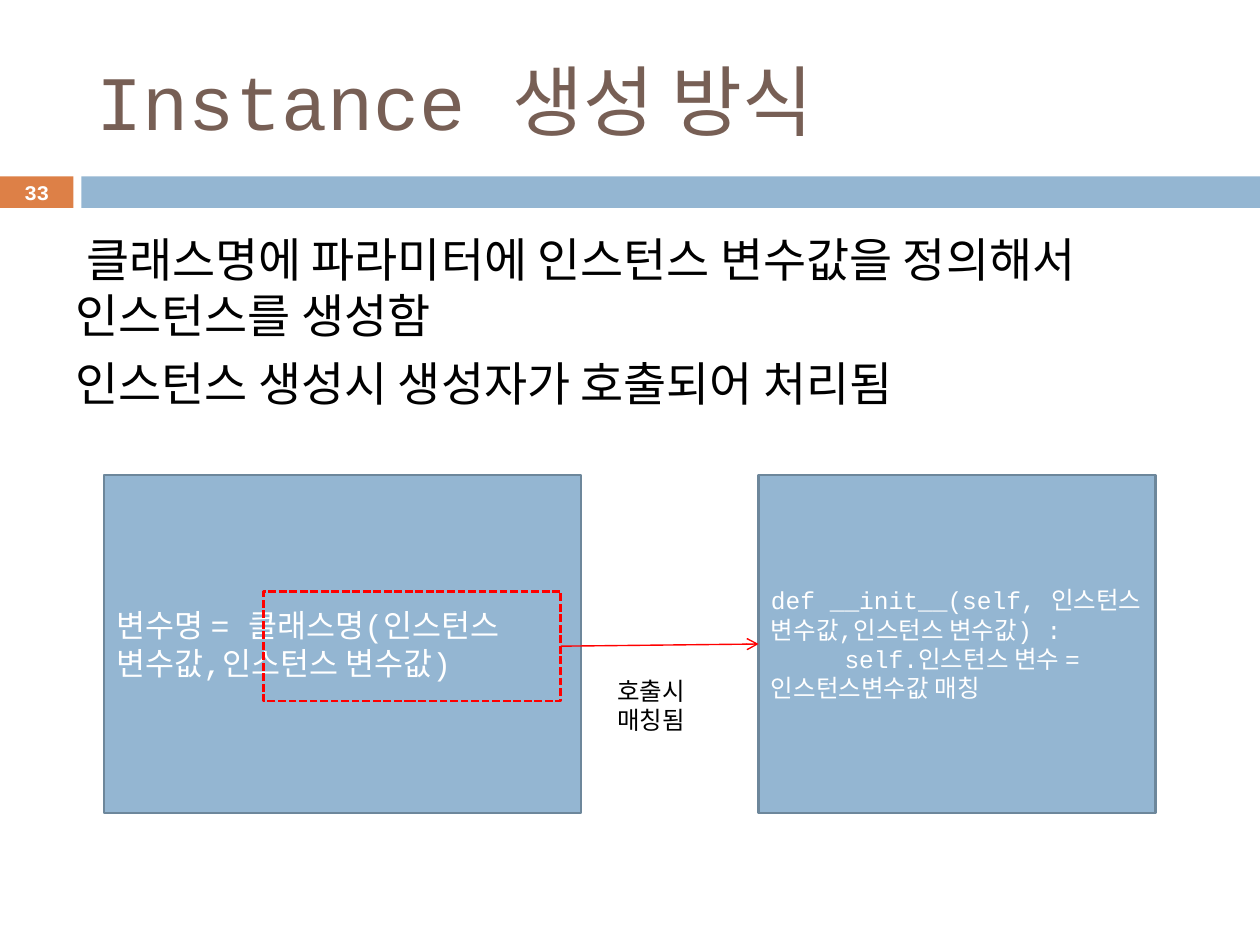
from lxml.etree import SubElement
from pptx import Presentation
from pptx.dml.color import RGBColor
from pptx.enum.dml import MSO_LINE_DASH_STYLE as Dash
from pptx.enum.shapes import MSO_CONNECTOR as Connector, MSO_SHAPE as Shape
from pptx.enum.text import MSO_ANCHOR as Anchor, MSO_AUTO_SIZE as AutoSize, PP_ALIGN as Align
from pptx.oxml.ns import qn
from pptx.util import Pt

FONT = "Courier New"
BLUE, ORANGE, BROWN = "94B6D2", "DD8047", "775F55"
EDGE, RED, WHITE, BLACK = "6D879B", "FF0000", "FFFFFF", "000000"

TITLE = ["Instance 생성 방식"]
POINTS = [
    " 클래스명에 파라미터에 인스턴스 변수값을 정의해서 인스턴스를 생성함",
    "인스턴스 생성시 생성자가 호출되어 처리됨",
]
CALL = ["변수명 = 클래스명(인스턴스 변수값,인스턴스 변수값)"]
INIT = [
    "def __init__(self, 인스턴스 변수값,인스턴스 변수값) :",
    "     self.인스턴스 변수 = 인스턴스변수값 매칭",
]
MATCH = ["호출시 매칭됨"]
PAGE = ["33"]

BAR_TOP, BAR_HEIGHT = 100.8, 18
BOX_TOP, BOX_HEIGHT = 271.5, 193


def color(value):
    return RGBColor.from_string(value)


def place(shape, box):
    shape.left, shape.top, shape.width, shape.height = map(Pt, box)


def write(shape, lines, size, ink, anchor=Anchor.MIDDLE, align=Align.LEFT, gap=0, bold=False):
    frame = shape.text_frame
    frame.word_wrap = True
    frame.auto_size = AutoSize.NONE
    frame.vertical_anchor = anchor
    for index, line in enumerate(lines):
        paragraph = frame.paragraphs[0] if index == 0 else frame.add_paragraph()
        paragraph.text = line
        paragraph.alignment = align
        paragraph.space_before = Pt(gap if index else 0)
        if shape.is_placeholder:
            props = paragraph._p.get_or_add_pPr()
            props.set("marL", "0")
            props.set("indent", "0")
            SubElement(props, qn("a:buNone"))
        font = paragraph.font
        font.name, font.size, font.bold = FONT, Pt(size), bold
        font.color.rgb = color(ink)


def add_rect(slide, box, fill=None, edge=None):
    rect = slide.shapes.add_shape(Shape.RECTANGLE, *map(Pt, box))
    rect.shadow.inherit = False
    if fill:
        rect.fill.solid()
        rect.fill.fore_color.rgb = color(fill)
    else:
        rect.fill.background()
    if edge:
        rect.line.color.rgb = color(edge)
        rect.line.width = Pt(1.5)
    else:
        rect.line.fill.background()
    return rect


def add_arrow(slide, start, end):
    arrow = slide.shapes.add_connector(Connector.STRAIGHT, 0, 0, 0, 0)
    arrow.begin_connect(start, 3)
    arrow.end_connect(end, 1)
    arrow.line.color.rgb = color(RED)
    arrow.line.width = Pt(0.79)
    SubElement(arrow.line._get_or_add_ln(), qn("a:tailEnd"), type="arrow")
    SubElement(arrow._element.spPr, qn("a:effectLst"))


def main():
    deck = Presentation()
    deck.slide_width, deck.slide_height = Pt(720), Pt(540)
    slide = deck.slides.add_slide(deck.slide_layouts[1])

    add_rect(slide, (0, BAR_TOP, 42, BAR_HEIGHT), ORANGE)
    add_rect(slide, (46.5, BAR_TOP, 673.5, BAR_HEIGHT), BLUE)

    title, body = slide.placeholders
    place(title, (48, 18, 642, 78))
    write(title, TITLE, 44, BROWN)
    place(body, (36, 128, 648, 108))
    write(body, POINTS, 26.8, BLACK, Anchor.TOP, gap=7)

    call = add_rect(slide, (59.5, BOX_TOP, 272.5, BOX_HEIGHT), BLUE, EDGE)
    write(call, CALL, 18, WHITE)
    init = add_rect(slide, (433.5, BOX_TOP, 227, BOX_HEIGHT), BLUE, EDGE)
    write(init, INIT, 14, WHITE)

    arguments = add_rect(slide, (150.5, 338, 170, 62.5), edge=RED)
    arguments.line.dash_style = Dash.SQUARE_DOT
    add_arrow(slide, arguments, init)

    match = slide.shapes.add_textbox(*map(Pt, (345.5, 382.5, 62.5, 41)))
    write(match, MATCH, 14, BLACK, Anchor.TOP)
    page = slide.shapes.add_textbox(*map(Pt, (0, 100, 42, 19.5)))
    write(page, PAGE, 11.9, WHITE, align=Align.CENTER, bold=True)

    deck.save("out.pptx")


if __name__ == "__main__":
    main()
